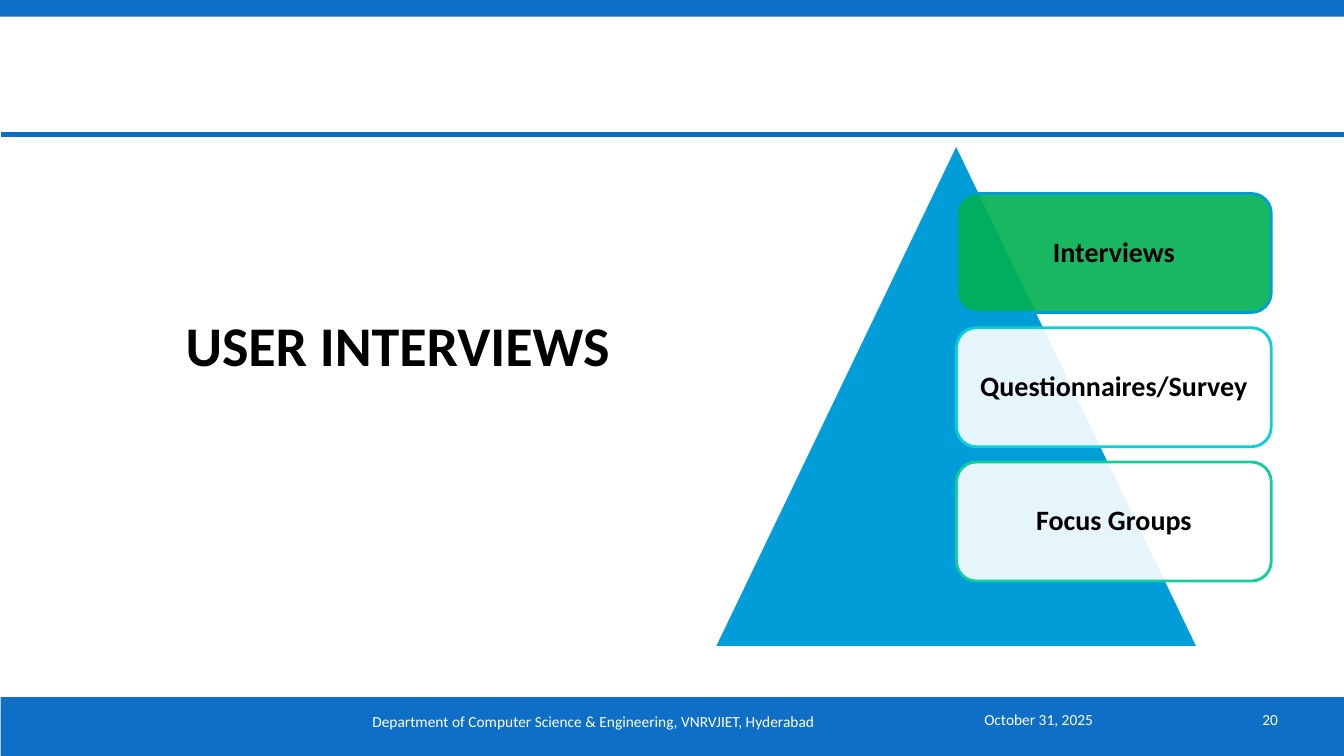
from dataclasses import dataclass

from lxml import etree
from pptx import Presentation
from pptx.dml.color import RGBColor
from pptx.enum.shapes import MSO_CONNECTOR as Connector, MSO_SHAPE as Preset
from pptx.enum.text import MSO_ANCHOR as Anchor, PP_ALIGN as Align
from pptx.oxml.ns import qn
from pptx.shapes.autoshape import Shape
from pptx.slide import Slide
from pptx.util import Pt

COLORS = {
    "bar": "0F6FC6", "rule": "0A6DC6", "pyramid": "009DD9",
    "green": "00B050", "cyan": "0BD0D9", "mint": "10CF9B",
    "white": "FFFFFF", "black": "000000",
}
FONT = "Calibri"
PAGE_WIDTH, PAGE_HEIGHT = 960, 540
CARD_LEFT, CARD_TOP, CARD_WIDTH, CARD_HEIGHT = 683.3, 138.2, 224.8, 85
CARD_PITCH = 95.9
CARD_INSET = 5.76


@dataclass(frozen=True)
class Area:
    left: float
    top: float
    width: float
    height: float


@dataclass(frozen=True)
class Label:
    text: str
    area: Area
    size: float
    color: str
    align: Align
    anchor: Anchor = Anchor.MIDDLE
    bold: bool = False
    left_inset: float = 7.2


@dataclass(frozen=True)
class Card:
    text: str
    fill: str
    line: str


BARS = [
    Area(0.5, 498, PAGE_WIDTH, 42),
    Area(0, 0, PAGE_WIDTH, 12),
]
LABELS = [
    Label("USER INTERVIEWS", Area(64, 218, 440, 107), 40, "black",
          Align.CENTER, Anchor.TOP, bold=True),
    Label("October 31, 2025", Area(696, 499, 136, 29), 11, "white", Align.LEFT),
    Label("Department of Computer Science & Engineering, VNRVJIET, Hyderabad",
          Area(160, 500.4, 528, 29), 11, "white", Align.CENTER),
    Label("20", Area(840, 499, 80, 29), 11, "white", Align.RIGHT, left_inset=0),
]
CARDS = [
    Card("Interviews", "green", "pyramid"),
    Card("Questionnaires/Survey", "white", "cyan"),
    Card("Focus Groups", "white", "mint"),
]


def rgb(name: str) -> RGBColor:
    return RGBColor.from_string(COLORS[name])


def write(box: Shape, text: str, size: float, color: str, align: Align,
          bold: bool = False) -> None:
    frame = box.text_frame
    frame.word_wrap = True
    frame.text = text
    para = frame.paragraphs[0]
    para.alignment = align
    font = para.runs[0].font
    font.name, font.size, font.bold = FONT, Pt(size), bold
    font.color.rgb = rgb(color)


def add_preset(page: Slide, preset: Preset, area: Area, fill: str,
               line: str | None = None) -> Shape:
    shape = page.shapes.add_shape(preset, Pt(area.left), Pt(area.top),
                                  Pt(area.width), Pt(area.height))
    shape.shadow.inherit = False
    shape.fill.solid()
    shape.fill.fore_color.rgb = rgb(fill)
    if line:
        shape.line.color.rgb = rgb(line)
        shape.line.width = Pt(2)
    else:
        shape.line.fill.background()
    return shape


def add_rule(page: Slide) -> None:
    rule = page.shapes.add_connector(Connector.STRAIGHT, Pt(0.5), Pt(96),
                                     Pt(PAGE_WIDTH + 0.5), Pt(96))
    rule.line.color.rgb = rgb("rule")
    rule.line.width = Pt(4)
    etree.SubElement(rule._element.spPr, qn("a:effectLst"))


def add_label(page: Slide, label: Label) -> None:
    area = label.area
    box = page.shapes.add_textbox(Pt(area.left), Pt(area.top),
                                  Pt(area.width), Pt(area.height))
    box.text_frame.vertical_anchor = label.anchor
    box.text_frame.margin_left = Pt(label.left_inset)
    write(box, label.text, label.size, label.color, label.align, label.bold)


def add_card(page: Slide, card: Card, row: int) -> None:
    area = Area(CARD_LEFT, CARD_TOP + row * CARD_PITCH, CARD_WIDTH, CARD_HEIGHT)
    box = add_preset(page, Preset.ROUNDED_RECTANGLE, area, card.fill, card.line)
    # Let the pyramid show faintly through the card
    fill_color = box._element.spPr.find(qn("a:solidFill"))[0]
    etree.SubElement(fill_color, qn("a:alpha"), val="90000")
    frame = box.text_frame
    frame.vertical_anchor = Anchor.MIDDLE
    frame.margin_left = frame.margin_right = Pt(CARD_INSET)
    frame.margin_top = frame.margin_bottom = Pt(CARD_INSET)
    write(box, card.text, 20, "black", Align.CENTER, bold=True)
    frame.paragraphs[0].line_spacing = 0.9


def main() -> None:
    deck = Presentation()
    deck.slide_width, deck.slide_height = Pt(PAGE_WIDTH), Pt(PAGE_HEIGHT)
    page = deck.slides.add_slide(deck.slide_layouts[6])

    # Page frame
    for bar in BARS:
        add_preset(page, Preset.RECTANGLE, bar, "bar")
    add_rule(page)

    # Title and footer
    for label in LABELS:
        add_label(page, label)

    # Pyramid with its cards
    add_preset(page, Preset.ISOSCELES_TRIANGLE, Area(510, 102.5, 346, 360),
               "pyramid", "white")
    for row, card in enumerate(CARDS):
        add_card(page, card, row)

    deck.save("out.pptx")


if __name__ == "__main__":
    main()
